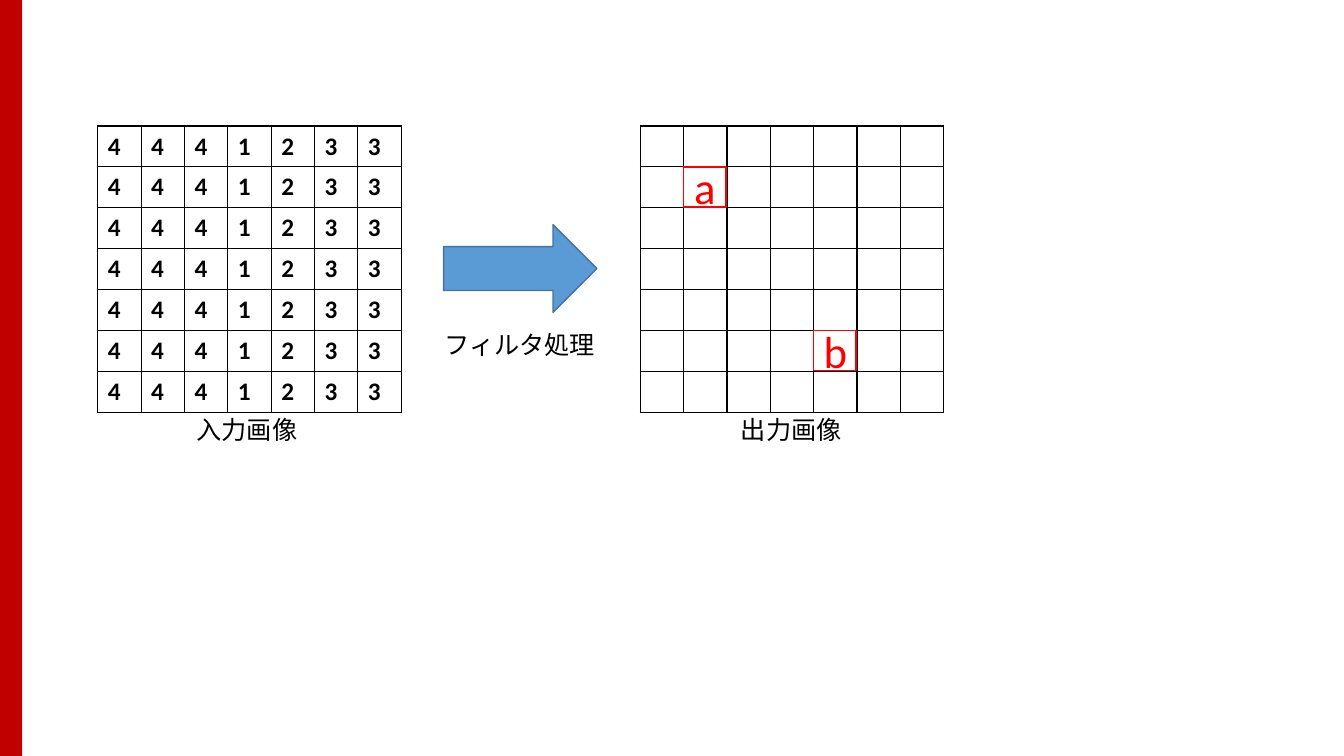
import pptx
import pptx.dml.color
import pptx.enum.shapes
import pptx.enum.text
import pptx.oxml
import pptx.oxml.ns
import pptx.util
from dataclasses import dataclass

Inches = pptx.util.Inches
Pt = pptx.util.Pt
MSO_SHAPE = pptx.enum.shapes.MSO_SHAPE
PP_ALIGN = pptx.enum.text.PP_ALIGN
MSO_ANCHOR = pptx.enum.text.MSO_ANCHOR

SIZE = 7
INPUT_PIXELS = [["4", "4", "4", "1", "2", "3", "3"]] * SIZE
OUTPUT_PIXELS = [[""] * SIZE] * SIZE
# pixels, grid left, caption, caption left
IMAGES = [
    (INPUT_PIXELS, 0.97, "入力画像", 1.85),
    (OUTPUT_PIXELS, 6.35, "出力画像", 7.25),
]
FILTER_LABEL = "フィルタ処理"
# letter, row, column in the output image
MARKED_PIXELS = [("b", 5, 4), ("a", 1, 1)]

GRID_TOP = 1.25
COLUMN_WIDTH = 0.43
ROW_HEIGHT = 2.84 / SIZE
CAPTION_TOP = 4.06
OUTPUT_LEFT = IMAGES[1][1]


@dataclass(frozen=True)
class Theme:
    latin: str = "Calibri"
    japanese: str = "Noto Sans CJK JP"
    black: str = "000000"
    band: str = "C00000"
    arrow: str = "5B9BD5"
    arrow_edge: str = "43739E"
    mark: str = "FF0000"
    body: int = 18
    letter: int = 32
    line: int = 1


THEME = Theme()


def rgb(colour):
    return pptx.dml.color.RGBColor.from_string(colour)


def write(frame, text, size=THEME.body, font=THEME.latin, colour=THEME.black,
          bold=False, align=PP_ALIGN.LEFT):
    paragraph = frame.paragraphs[0]
    paragraph.alignment = align
    run = paragraph.add_run()
    run.text = text
    run.font.size = Pt(size)
    run.font.name = font
    run.font.bold = bold
    run.font.color.rgb = rgb(colour)
    east_asian = pptx.oxml.parse_xml(
        f'<a:ea {pptx.oxml.ns.nsdecls("a")} typeface="{font}"/>')
    run.font._element.find(pptx.oxml.ns.qn("a:latin")).addnext(east_asian)


def add_label(slide, text, left, top, width):
    label = slide.shapes.add_textbox(
        Inches(left), Inches(top), Inches(width), Inches(0.4))
    label.text_frame.word_wrap = False
    label.text_frame.auto_size = pptx.enum.text.MSO_AUTO_SIZE.SHAPE_TO_FIT_TEXT
    write(label.text_frame, text, font=THEME.japanese)


def add_figure(slide, kind, left, top, width, height, fill=None, line=None):
    figure = slide.shapes.add_shape(
        kind, Inches(left), Inches(top), Inches(width), Inches(height))
    figure.shadow.inherit = False
    if fill:
        figure.fill.solid()
        figure.fill.fore_color.rgb = rgb(fill)
    else:
        figure.fill.background()
    if line:
        figure.line.color.rgb = rgb(line)
        figure.line.width = Pt(THEME.line)
    else:
        figure.line.fill.background()
    return figure


def add_borders(cell):
    """Put a black line on all four sides, ahead of the cell's fill."""
    properties = cell._tc.get_or_add_tcPr()
    for position, side in enumerate(("lnL", "lnR", "lnT", "lnB")):
        properties.insert(position, pptx.oxml.parse_xml(
            f'<a:{side} {pptx.oxml.ns.nsdecls("a")} w="{Pt(THEME.line)}">'
            f'<a:solidFill><a:srgbClr val="{THEME.black}"/></a:solidFill>'
            f'</a:{side}>'))


def add_grid(slide, pixels, left):
    grid = slide.shapes.add_table(
        SIZE, SIZE, Inches(left), Inches(GRID_TOP),
        Inches(SIZE * COLUMN_WIDTH), Inches(SIZE * ROW_HEIGHT)).table
    grid.first_row = False
    grid.horz_banding = False
    for column in grid.columns:
        column.width = Inches(COLUMN_WIDTH)
    for row, values in zip(grid.rows, pixels):
        row.height = Inches(ROW_HEIGHT)
        for cell, value in zip(row.cells, values):
            cell.fill.background()
            add_borders(cell)
            if value:
                write(cell.text_frame, value, bold=True)


def main():
    deck = pptx.Presentation()
    deck.slide_width = Inches(13.33)
    deck.slide_height = Inches(7.5)
    slide = deck.slides.add_slide(deck.slide_layouts[6])

    add_figure(slide, MSO_SHAPE.RECTANGLE, 0, 0, 0.22, 7.5, fill=THEME.band)
    for pixels, left, caption, caption_left in IMAGES:
        add_grid(slide, pixels, left)
        add_label(slide, caption, caption_left, CAPTION_TOP, 1.21)

    add_figure(slide, MSO_SHAPE.RIGHT_ARROW, 4.4, 2.23, 1.52, 0.87,
               fill=THEME.arrow, line=THEME.arrow_edge)
    add_label(slide, FILTER_LABEL, 4.31, 3.22, 1.72)

    for letter, row, column in MARKED_PIXELS:
        mark = add_figure(
            slide, MSO_SHAPE.RECTANGLE, OUTPUT_LEFT + column * COLUMN_WIDTH,
            GRID_TOP + row * ROW_HEIGHT, 0.42, 0.4, line=THEME.mark)
        mark.text_frame.vertical_anchor = MSO_ANCHOR.MIDDLE
        write(mark.text_frame, letter, size=THEME.letter, colour=THEME.mark,
              align=PP_ALIGN.CENTER)

    deck.save("out.pptx")


if __name__ == "__main__":
    main()
